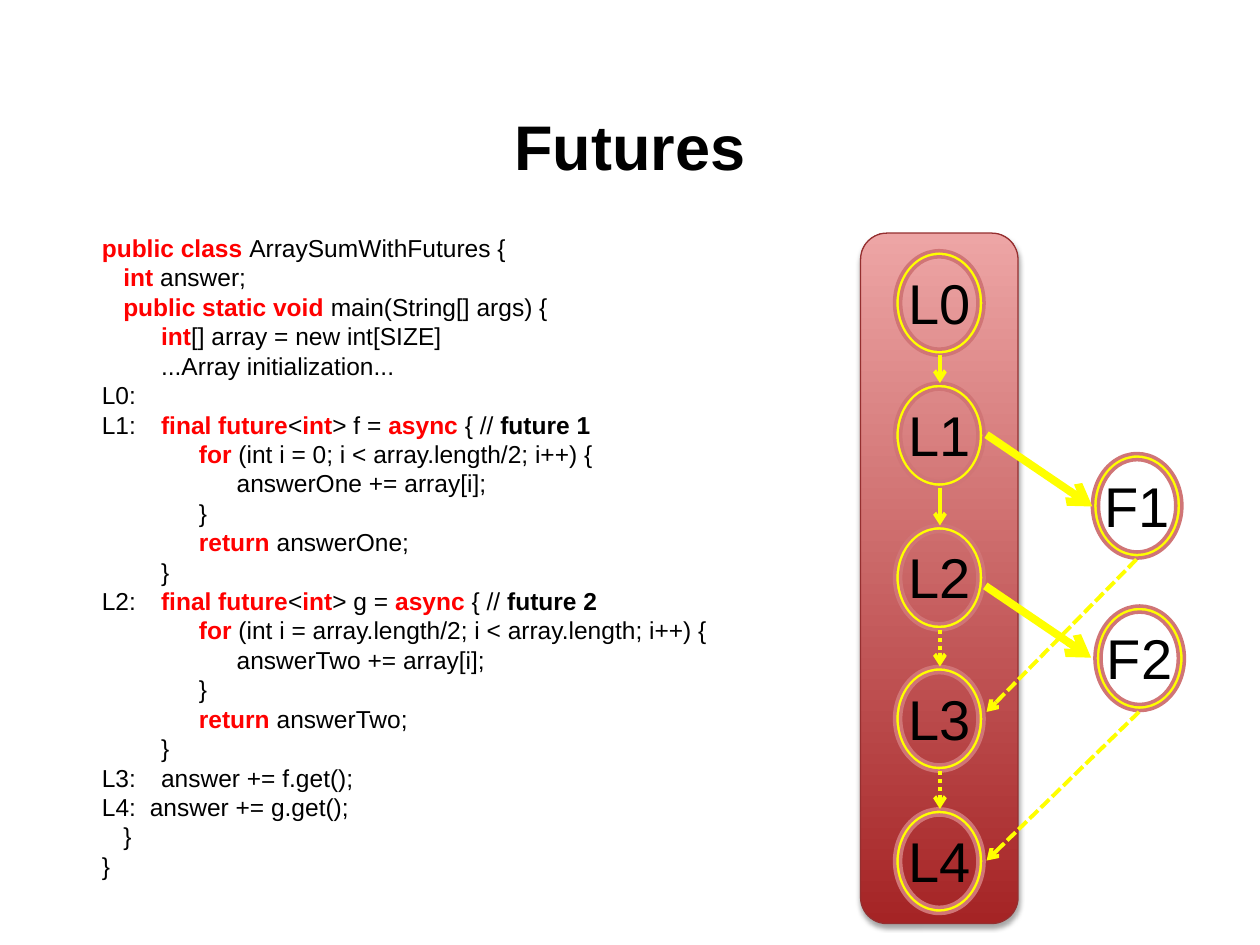
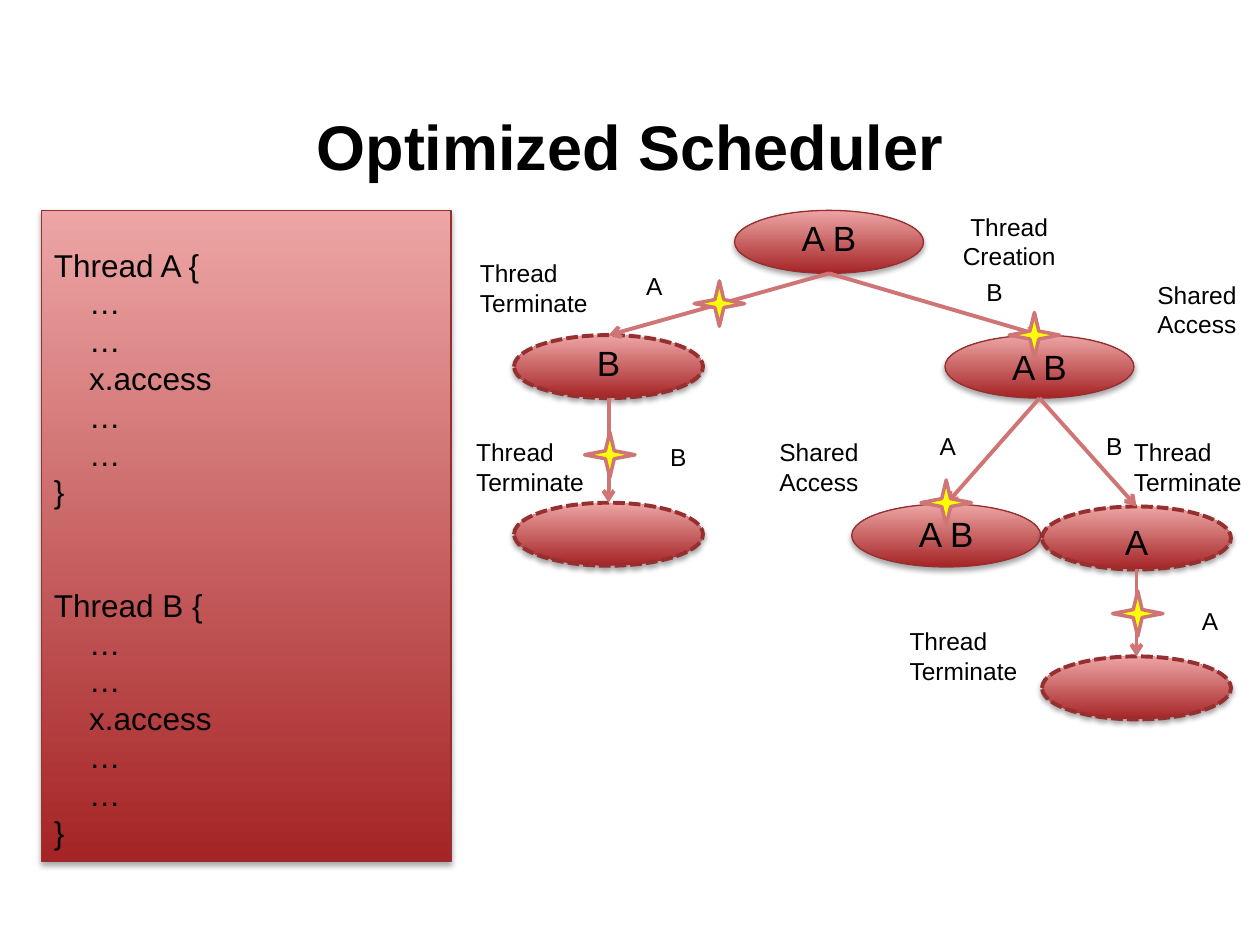
from collections import namedtuple

from lxml import etree
from pptx import Presentation
from pptx import util as u
from pptx.dml.color import RGBColor
from pptx.enum import dml, shapes, text
from pptx.oxml.ns import qn

COLORS = {
    "ink": "000000",
    "keyword": "FF0000",
    "deep": "A52425",
    "pale": "EDA5A5",
    "border": "952F30",
    "rose": "D07576",
    "yellow": "FFFF00",
}
FONT = "Arial"
LINE_HEIGHT = 1.2
LEFT, CENTER = text.PP_ALIGN.LEFT, text.PP_ALIGN.CENTER
DASH, DOT = dml.MSO_LINE.SQUARE_DOT, dml.MSO_LINE.ROUND_DOT
SHORT_DASH = "sysDash"
SHORT_DOT = "sysDot"

Box = namedtuple("Box", "left top width height")

TITLE_BOX = Box(0.5, 0.3, 9, 1.25)
CODE_BOX = Box(0.5, 1.75, 5.75, 5.43)
CHAIN_BOX = Box(6.83, 1.85, 1.25, 5.48)
THREADS_BOX = Box(0.33, 1.67, 3.25, 5.17)
TREE_BOX = Box(3.58, 1.67, 6.42, 4.04)

CODE_MARGIN = 0.21
CODE_LEVELS = [CODE_MARGIN, 0.38, 0.68, 0.98, 1.28]
CODE = [
    (0, "|public class |ArraySumWithFutures {"),
    (1, "|int |answer;"),
    (1, "|public static void |main(String[] args) {"),
    (2, "|int|[] array = new int[SIZE]"),
    (2, "...Array initialization..."),
    (0, "L0:"),
    (2, "L1:\t|final future|<|int|> f = |async| { // |~future 1|"),
    (3, "|for| (int i = 0; i < array.length/2; i++) {"),
    (4, "answerOne += array[i];"),
    (3, "}"),
    (3, "|return |answerOne;"),
    (2, "}"),
    (2, "L2:\t|final future|<|int|> g = |async| { // |~future 2|"),
    (3, "|for| (int i = array.length/2; i < array.length; i++) {"),
    (4, "answerTwo += array[i];"),
    (3, "}"),
    (3, "|return |answerTwo;"),
    (2, "}"),
    (2, "L3:\tanswer += f.get();"),
    (2, "L4:\tanswer += g.get();"),
    (1, "}"),
    (0, "}"),
]
THREAD_BODY = ["…", "…", "x.access", "…", "…"]


def color(name):
    return RGBColor.from_string(COLORS[name])


def within(box, left, top, width=0, height=0):
    return Box(box.left + left, box.top + top, width, height)


def inches(box):
    return [u.Inches(value) for value in box]


def style(para, size, align=LEFT, bold=False):
    para.alignment = align
    para.line_spacing = u.Pt(round(size * LINE_HEIGHT, 1))
    para.font.name = FONT
    para.font.size = u.Pt(size)
    para.font.bold = bold
    para.font.color.rgb = color("ink")


def indent(para, left, first=0.0):
    props = para._p.get_or_add_pPr()
    props.set("marL", str(u.Inches(left)))
    props.set("indent", str(u.Inches(first)))


def add_text_frame(page, box):
    frame = page.shapes.add_textbox(*inches(box)).text_frame
    frame.word_wrap = True
    return frame


def add_label(page, box, words, size, align=LEFT):
    frame = add_text_frame(page, box)
    para = frame.paragraphs[0]
    para.text = words
    style(para, size, align)
    return frame


def add_solid(page, kind, box):
    shape = page.shapes.add_shape(kind, *inches(box))
    shape.shadow.inherit = False
    shape.fill.solid()
    shape.fill.fore_color.rgb = color("yellow")
    shape.line.color.rgb = color("rose")
    shape.line.width = u.Pt(2)
    return shape


def set_dash(line, dash):
    line.dash_style = DASH
    line._get_or_add_ln().find(qn("a:prstDash")).set("val", dash)


def add_glossy(page, kind, box, dashed=False):
    shape = page.shapes.add_shape(kind, *inches(box))
    shape.shadow.inherit = False
    shape.fill.gradient()
    shape.fill.gradient_angle = 90
    for stop, name in zip(shape.fill.gradient_stops, ("deep", "pale")):
        stop.color.rgb = color(name)
    shape.line.color.rgb = color("border")
    shape.line.width = u.Pt(2.25 if dashed else 0.75)
    if dashed:
        set_dash(shape.line, SHORT_DASH)
    effects = shape._element.spPr.find(qn("a:effectLst"))
    shadow = etree.SubElement(
        effects, qn("a:outerShdw"), blurRad=str(u.Pt(3.1)),
        dist=str(u.Pt(1.8)), dir="5400000", rotWithShape="0")
    tint = etree.SubElement(shadow, qn("a:srgbClr"), val=COLORS["ink"])
    etree.SubElement(tint, qn("a:alpha"), val="35000")
    return shape


def add_arrow(page, start, end, name, width=2.25, dash=None):
    arrow = page.shapes.add_connector(
        shapes.MSO_CONNECTOR.STRAIGHT,
        *inches((start.left, start.top, end.left, end.top)))
    arrow.line.color.rgb = color(name)
    arrow.line.width = u.Pt(width)
    if dash:
        set_dash(arrow.line, dash)
    etree.SubElement(arrow.line._get_or_add_ln(), qn("a:tailEnd"), type="arrow")
    etree.SubElement(arrow._element.spPr, qn("a:effectLst"))


def add_page(deck, title):
    page = deck.slides.add_slide(deck.slide_layouts[6])
    frame = add_text_frame(page, TITLE_BOX)
    frame.vertical_anchor = text.MSO_ANCHOR.BOTTOM
    frame.margin_top = frame.margin_bottom = u.Inches(0.1)
    para = frame.paragraphs[0]
    para.text = title
    style(para, 36, CENTER, bold=True)
    return page


def add_code(page, box):
    frame = add_text_frame(page, box)
    frame.margin_top = frame.margin_bottom = u.Inches(0.1)
    for number, (level, line) in enumerate(CODE):
        para = frame.add_paragraph() if number else frame.paragraphs[0]
        style(para, 14)
        left = 0.59 if line.startswith("L4") else CODE_LEVELS[level]
        indent(para, left, CODE_MARGIN - left if "\t" in line else 0)
        for order, piece in enumerate(line.split("|")):
            if not piece:
                continue
            span = para.add_run()
            span.text = piece.lstrip("~")
            if order % 2:
                span.font.bold = True
                span.font.color.rgb = color("ink" if piece[0] == "~" else "keyword")


def add_ring(page, box, name):
    ring = add_solid(page, shapes.MSO_SHAPE.DONUT, box)
    ring.adjustments[0] = 0.068
    add_label(page, within(box, -0.02, 0.09, 0.75, 0.64), name, 32, CENTER)


def add_future_graph(page, box):
    add_glossy(page, shapes.MSO_SHAPE.ROUNDED_RECTANGLE, box)
    width, height, middle = 0.71, 0.83, 0.63
    tops = [0.14, 1.19, 2.32, 3.44, 4.57]
    for number, top in enumerate(tops):
        add_ring(page, within(box, 0.27, top, width, height), f"L{number}")
    for number, (top, following) in enumerate(zip(tops, tops[1:])):
        add_arrow(page, within(box, middle, top + height), within(box, middle, following),
                  "yellow", dash=SHORT_DOT if number > 1 else None)
    futures = [
        ("F1", (1.84, 1.75), (1.0, 1.6), (1.84, 2.17), (1.0, 3.8)),
        ("F2", (1.86, 2.96), (0.99, 2.8), (1.83, 3.37), (1.0, 4.98)),
    ]
    for name, (left, top), spawn, reached, joined in futures:
        add_ring(page, within(box, left, top, width, height), name)
        add_arrow(page, within(box, *spawn), within(box, *reached), "yellow", 4.5)
        add_arrow(page, within(box, left + 0.35, top + height + 0.01),
                  within(box, *joined), "yellow", dash=SHORT_DASH)


def add_threads(page, box):
    add_glossy(page, shapes.MSO_SHAPE.RECTANGLE, box)
    frame = add_text_frame(page, box)
    frame.margin_top = u.Inches(0.28)
    for name in "AB":
        for number, line in enumerate([f"Thread {name} {{", *THREAD_BODY, "}"]):
            first = name == "A" and number == 0
            para = frame.paragraphs[0] if first else frame.add_paragraph()
            para.text = line
            style(para, 18)
            if line in THREAD_BODY:
                indent(para, 0.28)
            if name == "B" and number == 0:
                para.space_before = u.Pt(43.2)


def add_schedule_tree(page, box):
    width, height = 1.5, 0.5
    nodes = {
        "root": (2.25, 0, "A B", 0, False),
        "left": (0.5, 0.99, "B", 0, True),
        "right": (3.92, 0.99, "A B", 0.03, False),
        "left end": (0.5, 2.32, "", 0, True),
        "shared": (3.18, 2.33, "A B", 0.02, False),
        "last": (4.69, 2.35, "A", 0.06, True),
        "last end": (4.69, 3.54, "", 0, True),
    }
    for left, top, words, drop, dashed in nodes.values():
        add_glossy(page, shapes.MSO_SHAPE.OVAL,
                   within(box, left, top, width, height), dashed)
        if words:
            add_label(page, within(box, left, top + drop, width, 0.44), words, 20, CENTER)

    edges = [("root", "left"), ("left", "left end"), ("root", "right"),
             ("right", "shared"), ("right", "last"), ("last", "last end")]
    for parent, child in edges:
        start, end = nodes[parent], nodes[child]
        add_arrow(page, within(box, start[0] + width / 2, start[1] + height),
                  within(box, end[0] + width / 2, end[1]), "rose")

    for left, top in [(0.13, 0.33), (0.1, 1.75), (5.32, 1.75), (3.54, 3.25)]:
        add_label(page, within(box, left, top, 1.12, 0.57), "Thread Terminate", 14)
    for left, top, words in [(3.93, -0.04, "Thread Creation"),
                             (5.42, 0.5, "Shared Access"), (2.42, 1.75, "Shared Access")]:
        add_label(page, within(box, left, top, 1, 0.57), words, 14, CENTER)

    for left, top in [(1.93, 0.56), (1.06, 1.76), (4.43, 0.81), (3.73, 2.14), (5.25, 3.02)]:
        add_solid(page, shapes.MSO_SHAPE.STAR_4_POINT, within(box, left, top, 0.4, 0.36))

    for left, top, name in [(1.45, 0.43, "A"), (1.64, 1.79, "B"), (4.15, 0.48, "B"),
                            (3.78, 1.7, "A"), (5.1, 1.7, "B"), (5.86, 3.09, "A")]:
        frame = add_label(page, within(box, left, top, 0.3, 0.34), name, 14)
        frame.margin_right = 0


def main():
    deck = Presentation()
    deck.slide_width, deck.slide_height = u.Inches(10), u.Inches(7.5)

    page = add_page(deck, "Futures")
    add_code(page, CODE_BOX)
    add_future_graph(page, CHAIN_BOX)

    page = add_page(deck, "Optimized Scheduler")
    add_threads(page, THREADS_BOX)
    add_schedule_tree(page, TREE_BOX)

    deck.save("out.pptx")


if __name__ == "__main__":
    main()
